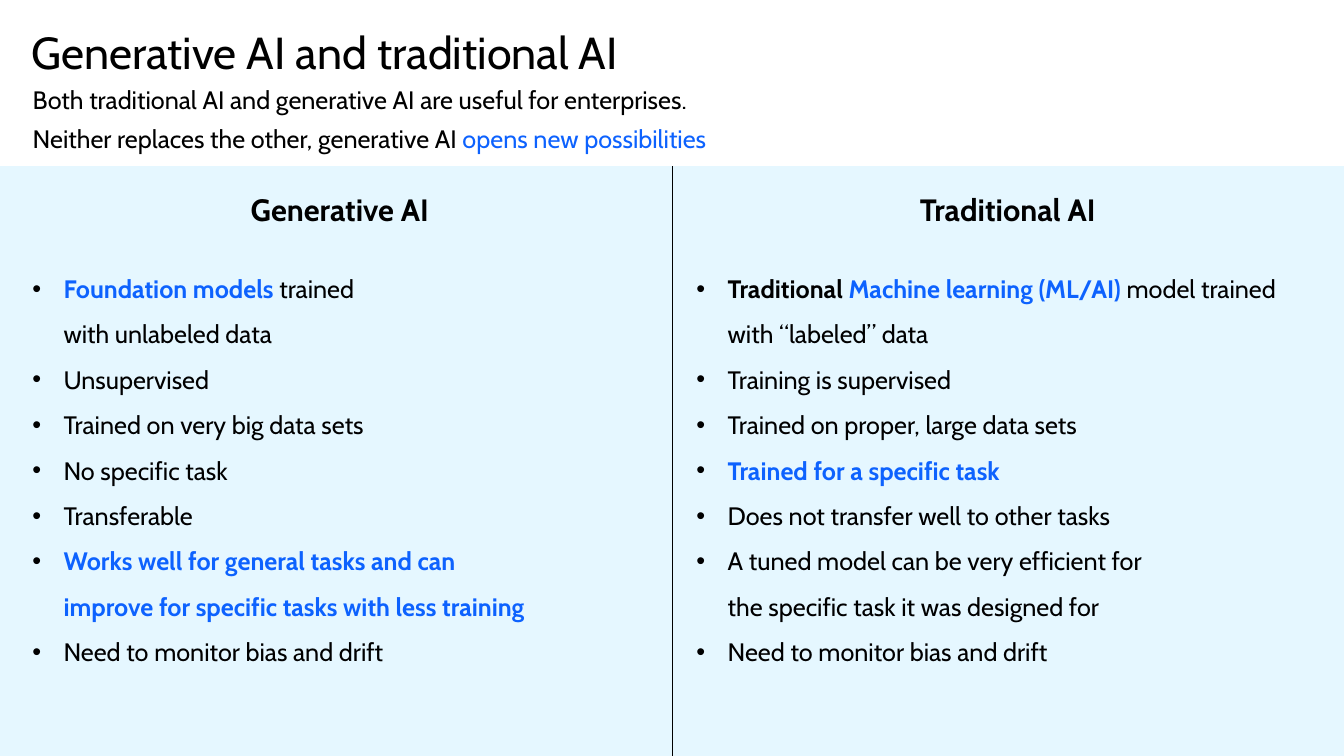
from lxml import etree
from pptx import Presentation
from pptx.dml.color import RGBColor
from pptx.enum import shapes, text
from pptx.oxml.ns import qn
from pptx.util import Inches, Pt

COLORS = {"text": "000000", "accent": "0D62FE", "panel": "E5F7FF"}
FONT = "Cabin"
WIDTH, HEIGHT, PANEL_TOP = 26.67, 15, 3.3
HANG = 0.62

# A run is (words, style); the style may hold "bold" and "accent".
TITLE = [("Generative AI and traditional AI", "")]
SUBTITLE = [
    [("Both traditional AI and generative AI are useful for enterprises.", "")],
    [("Neither replaces the other, generative AI ", ""),
     ("opens new possibilities", "accent")],
]
COLUMNS = [
    {"heading": "Generative AI", "box": (0.64, 3.78, 12.21, 10.92), "points": [
        [("Foundation models ", "bold accent"), ("trained\nwith unlabeled data", "")],
        [("Unsupervised", "")],
        [("Trained on very big data sets", "")],
        [("No specific task", "")],
        [("Transferable", "")],
        [("Works well for general tasks and can\n"
          "improve for specific tasks with less training", "bold accent")],
        [("Need to monitor bias and drift", "")],
    ]},
    {"heading": "Traditional AI", "box": (13.82, 3.78, 12.36, 10.41), "points": [
        [("Traditional ", "bold"), ("Machine learning (ML/AI) ", "bold accent"),
         ("model trained with “labeled” data", "")],
        [("Training is supervised", "")],
        [("Trained on proper, large data sets", "")],
        [("Trained for a specific task", "bold accent")],
        [("Does not transfer well to other tasks", "")],
        [("A tuned model can be very efficient for\n"
          "the specific task it was designed for", "")],
        [("Need to monitor bias and drift", "")],
    ]},
]


def color(name):
    return RGBColor.from_string(COLORS[name])


def place(shape, box):
    """Move a text shape to box and clear its insets and autofit."""
    shape.left, shape.top, shape.width, shape.height = map(Inches, box)
    frame = shape.text_frame
    frame.word_wrap = True
    frame.auto_size = text.MSO_AUTO_SIZE.NONE
    frame.vertical_anchor = text.MSO_ANCHOR.TOP
    frame.margin_left = frame.margin_right = frame.margin_top = frame.margin_bottom = 0
    return frame


def write(paragraph, runs, size, align=text.PP_ALIGN.LEFT, before=0):
    paragraph.alignment = align
    paragraph.space_before = Pt(before)
    for words, style in runs:
        for number, line in enumerate(words.split("\n")):
            if number:
                paragraph.add_line_break()
            run = paragraph.add_run()
            run.text = line
            run.font.name, run.font.size = FONT, Pt(size)
            run.font.bold = "bold" in style
            run.font.color.rgb = color("accent" if "accent" in style else "text")


def set_bullet(paragraph, char=None):
    """Hang the paragraph on a bullet, or remove the bullet when char is None."""
    props = paragraph._p.get_or_add_pPr()
    hang = Inches(HANG) if char else 0
    props.set("marL", str(hang))
    props.set("indent", str(-hang))
    if not char:
        etree.SubElement(props, qn("a:buNone"))
        return
    fill = etree.SubElement(props, qn("a:buClr"))
    etree.SubElement(fill, qn("a:srgbClr"), val=COLORS["text"])
    etree.SubElement(props, qn("a:buFont"), typeface="Arial")
    etree.SubElement(props, qn("a:buChar"), char=char)


def fill_column(frame, heading, points):
    top = frame.paragraphs[0]
    set_bullet(top)
    write(top, [(heading, "bold")], 44, text.PP_ALIGN.CENTER)
    top.space_after = Pt(44)
    for runs in points:
        point = frame.add_paragraph()
        set_bullet(point, "•")
        point.line_spacing = 1.5
        write(point, runs, 36)


def main():
    deck = Presentation()
    deck.slide_width, deck.slide_height = Inches(WIDTH), Inches(HEIGHT)
    two_content = deck.slide_layouts[3]
    slide = deck.slides.add_slide(two_content)
    tree = slide.shapes

    panel = tree.add_shape(shapes.MSO_SHAPE.RECTANGLE, 0, Inches(PANEL_TOP),
                           Inches(WIDTH), Inches(HEIGHT - PANEL_TOP))
    panel.shadow.inherit = False
    panel.fill.solid()
    panel.fill.fore_color.rgb = panel.line.color.rgb = color("panel")
    panel.line.width = Pt(1.5)
    tree._spTree.insert(2, panel._element)  # behind the placeholders

    title = place(tree.title, (0.63, 0.49, 18.98, 1.67))
    write(title.paragraphs[0], TITLE, 64)

    subtitle = place(tree.add_textbox(0, 0, 0, 0), (0.65, 1.68, 25.44, 1.38))
    write(subtitle.paragraphs[0], SUBTITLE[0], 36)
    write(subtitle.add_paragraph(), SUBTITLE[1], 36, before=12)

    for index, column in enumerate(COLUMNS, start=1):
        frame = place(slide.placeholders[index], column["box"])
        fill_column(frame, column["heading"], column["points"])

    middle = Inches(WIDTH / 2)
    divider = tree.add_connector(shapes.MSO_CONNECTOR.STRAIGHT, middle,
                                 Inches(PANEL_TOP), middle, Inches(HEIGHT))
    divider.line.color.rgb = color("text")
    divider.line.width = Pt(1)
    etree.SubElement(divider._element.spPr, qn("a:effectLst"))

    deck.save("out.pptx")


if __name__ == "__main__":
    main()
